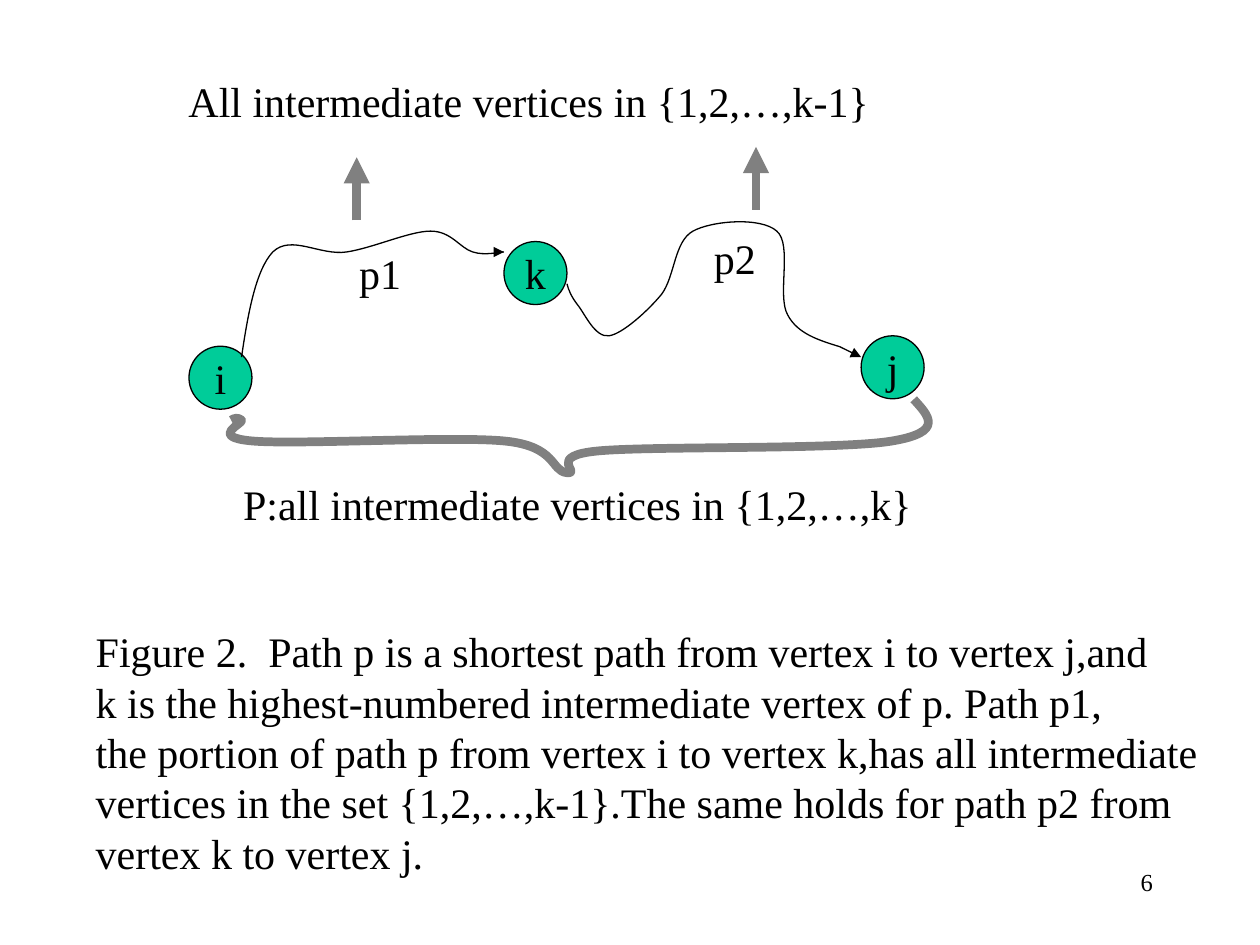
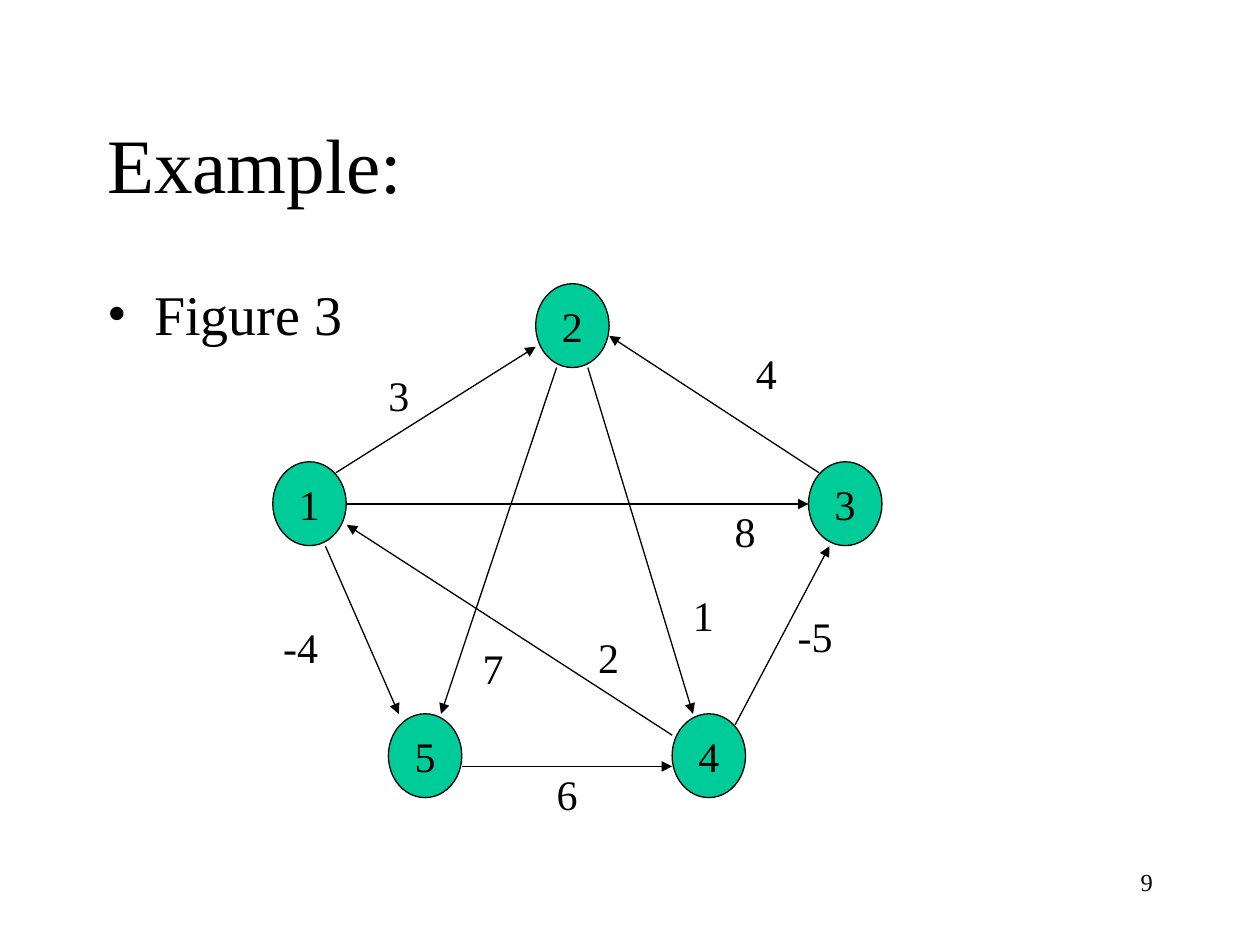
"""Build two slides on shortest paths: a path split at vertex k, and a weighted graph."""
from lxml import etree
from pptx import Presentation
from pptx.dml.color import RGBColor
from pptx.enum.shapes import MSO_CONNECTOR, MSO_SHAPE
from pptx.enum.text import MSO_ANCHOR, MSO_AUTO_SIZE, PP_ALIGN
from pptx.oxml.ns import qn
from pptx.util import Cm, Pt

LINE = MSO_CONNECTOR.STRAIGHT
OVAL = MSO_SHAPE.OVAL
LEFT, MID, RIGHT = PP_ALIGN.LEFT, PP_ALIGN.CENTER, PP_ALIGN.RIGHT
TOP, CENTRE = MSO_ANCHOR.TOP, MSO_ANCHOR.MIDDLE
GROW = MSO_AUTO_SIZE.SHAPE_TO_FIT_TEXT
BLACK = RGBColor(0x00, 0x00, 0x00)
GREEN = RGBColor(0x00, 0xCC, 0x99)
GREY = RGBColor(0x80, 0x80, 0x80)
FONT = "Times New Roman"
THIN, THICK = 0.75, 5


def write(shape, text, size=24, align=LEFT, anchor=TOP, wrap=False):
    frame = shape.text_frame
    frame.text = text
    frame.word_wrap = wrap
    frame.vertical_anchor = anchor
    for para in frame.paragraphs:
        para.alignment = align
        for run in para.runs:
            run.font.name = FONT
            run.font.size = Pt(size)
            run.font.color.rgb = BLACK
    return frame


def stroke(shape, color, width):
    shape.line.color.rgb = color
    shape.line.width = Pt(width)


caption = "\n".join([
    "Figure 2.  Path p is a shortest path from vertex i to vertex j,and",
    "k is the highest-numbered intermediate vertex of p. Path p1,",
    "the portion of path p from vertex i to vertex k,has all intermediate",
    "vertices in the set {1,2,…,k-1}.The same holds for path p2 from",
    "vertex k to vertex j.",
])

paths = {
    "page": "6",
    "size": (1.27, 1.27),
    "nodes": [("i", 3.81, 6.98), ("j", 17.36, 6.77), ("k", 10.16, 4.87)],
    "arrows": [
        (9.96, 5.08, 10.16, 5.08, BLACK, THIN),
        (16.93, 6.99, 17.36, 7.2, BLACK, THIN),
        (7.19, 4.44, 7.19, 3.17, GREY, THICK),
        (15.24, 4.23, 15.24, 2.96, GREY, THICK),
    ],
    "labels": [
        ("p1", 6.99, 4.87, 1.35, 1.27),
        ("p2", 14.14, 4.57, 1.35, 1.27),
        ("All intermediate vertices in {1,2,…,k-1}", 3.55, 1.4, 14.22, 1.27),
        ("P:all intermediate vertices in {1,2,…,k}", 4.65, 9.53, 14, 1.27),
        (caption, 1.68, 12.49, 22.75, 5.33),
    ],
}

edges = [
    (6.56, 11.01, 8.04, 14.39), (6.77, 9.53, 10.8, 6.99),
    (16.51, 9.53, 12.28, 6.77), (6.99, 10.16, 16.3, 10.16),
    (9.31, 15.45, 13.55, 15.45), (14.82, 14.61, 16.72, 11.01),
    (11.22, 7.41, 8.89, 14.39), (11.85, 7.41, 13.97, 14.39),
    (13.55, 14.82, 6.99, 10.58),
]
costs = [
    ("3", 7.58, 7.32), ("4", 14.99, 6.89), ("7", 9.48, 12.83),
    ("-4", 5.46, 12.4), ("8", 14.56, 10.06), ("1", 13.72, 11.76),
    ("-5", 15.83, 12.19), ("2", 11.81, 12.6), ("6", 10.97, 15.37),
]
graph = {
    "page": "9",
    "size": (1.48, 1.69),
    "nodes": [("1", 5.5, 9.31), ("5", 7.83, 14.39), ("4", 13.55, 14.39),
              ("3", 16.3, 9.31), ("2", 10.8, 5.72)],
    "arrows": [(*edge, BLACK, THIN) for edge in edges],
    "labels": [(cost, x, y, 0.6 + 0.31 * len(cost), 1.27) for cost, x, y in costs],
}

curves = [
    (BLACK, THIN, [
        (4.87, 7.2), (5, 6.31), (5.16, 5.44), (5.5, 5.08),
        (5.87, 4.72), (6.45, 5.16), (6.99, 5.08),
        (7.52, 5), (8.26, 4.66), (8.68, 4.66),
        (9.1, 4.66), (9.27, 5), (9.53, 5.08),
        (9.78, 5.16), (10.06, 5.08), (10.16, 5.08)]),
    (BLACK, THIN, [
        (11.43, 5.72), (11.46, 5.84), (11.51, 5.97), (11.64, 6.14),
        (11.79, 6.32), (11.99, 6.81), (12.28, 6.77),
        (12.55, 6.73), (13.06, 6.27), (13.34, 5.93),
        (13.61, 5.56), (13.59, 4.87), (13.97, 4.66),
        (14.35, 4.45), (15.34, 4.37), (15.66, 4.66),
        (15.98, 4.93), (15.66, 5.97), (15.88, 6.35),
        (16.08, 6.73), (16.51, 6.86), (16.93, 6.99)]),
    (GREY, THICK, [
        (4.66, 8.47), (4.72, 8.43), (4.8, 8.41), (4.87, 8.47),
        (4.93, 8.53), (4.19, 8.81), (5.08, 8.89),
        (5.97, 8.97), (9.09, 8.79), (10.16, 8.89),
        (11.23, 8.99), (11.1, 9.5), (11.43, 9.53),
        (11.75, 9.55), (10.97, 9.19), (12.07, 9.09),
        (13.16, 8.99), (16.94, 9.07), (17.99, 8.89),
        (19.05, 8.71), (18.72, 8.38), (18.42, 8.05)]),
]

deck = Presentation()
deck.slide_width, deck.slide_height = Cm(25.4), Cm(19.05)

for scene in (paths, graph):
    shapes = deck.slides.add_slide(deck.slide_layouts[6]).shapes
    foot = shapes.add_textbox(Cm(18.2), Cm(17.36), Cm(5.29), Cm(1.27))
    write(foot, scene["page"], 14, RIGHT, wrap=True)

    for name, x, y in scene["nodes"]:
        node = shapes.add_shape(OVAL, Cm(x), Cm(y), *map(Cm, scene["size"]))
        node.shadow.inherit = False
        node.fill.solid()
        node.fill.fore_color.rgb = GREEN
        stroke(node, BLACK, THIN)
        write(node, name, align=MID, anchor=CENTRE)

    for *ends, color, width in scene["arrows"]:
        arrow = shapes.add_connector(LINE, *map(Cm, ends))
        stroke(arrow, color, width)
        props = arrow._element.spPr
        etree.SubElement(props.find(qn("a:ln")), qn("a:tailEnd"), type="triangle")
        etree.SubElement(props, qn("a:effectLst"))

    for text, *box in scene["labels"]:
        label = shapes.add_textbox(*map(Cm, box))
        write(label, text).auto_size = GROW

shapes = deck.slides[0].shapes
for color, width, knots in curves:
    dots = [tuple(map(Cm, knot)) for knot in knots]
    pen = shapes.build_freeform(*dots[0])
    pen.add_line_segments(dots[1:], close=False)
    curve = pen.convert_to_shape()
    curve.shadow.inherit = False
    curve.fill.background()
    stroke(curve, color, width)
    route = next(curve._element.iter(qn("a:path")))
    legs = route.findall(qn("a:lnTo"))
    for n in range(0, len(legs), 3):
        bend = etree.SubElement(route, qn("a:cubicBezTo"))
        for leg in legs[n:n + 3]:
            bend.append(leg[0])
            route.remove(leg)

shapes = deck.slides[1].shapes
title = shapes.add_textbox(Cm(1.91), Cm(1.7), Cm(21.59), Cm(3.18))
write(title, "Example:", 44, anchor=CENTRE, wrap=True)
body = shapes.add_textbox(Cm(1.91), Cm(5.51), Cm(21.79), Cm(11.23))
point = write(body, "Figure 3", 32, wrap=True).paragraphs[0]
point.space_before = Pt(8)
props = point._p.get_or_add_pPr()
props.set("marL", str(Cm(0.95)))
props.set("indent", str(-Cm(0.95)))
etree.SubElement(props, qn("a:buFont"), typeface=FONT)
etree.SubElement(props, qn("a:buChar"), char="•")

deck.save("out.pptx")
